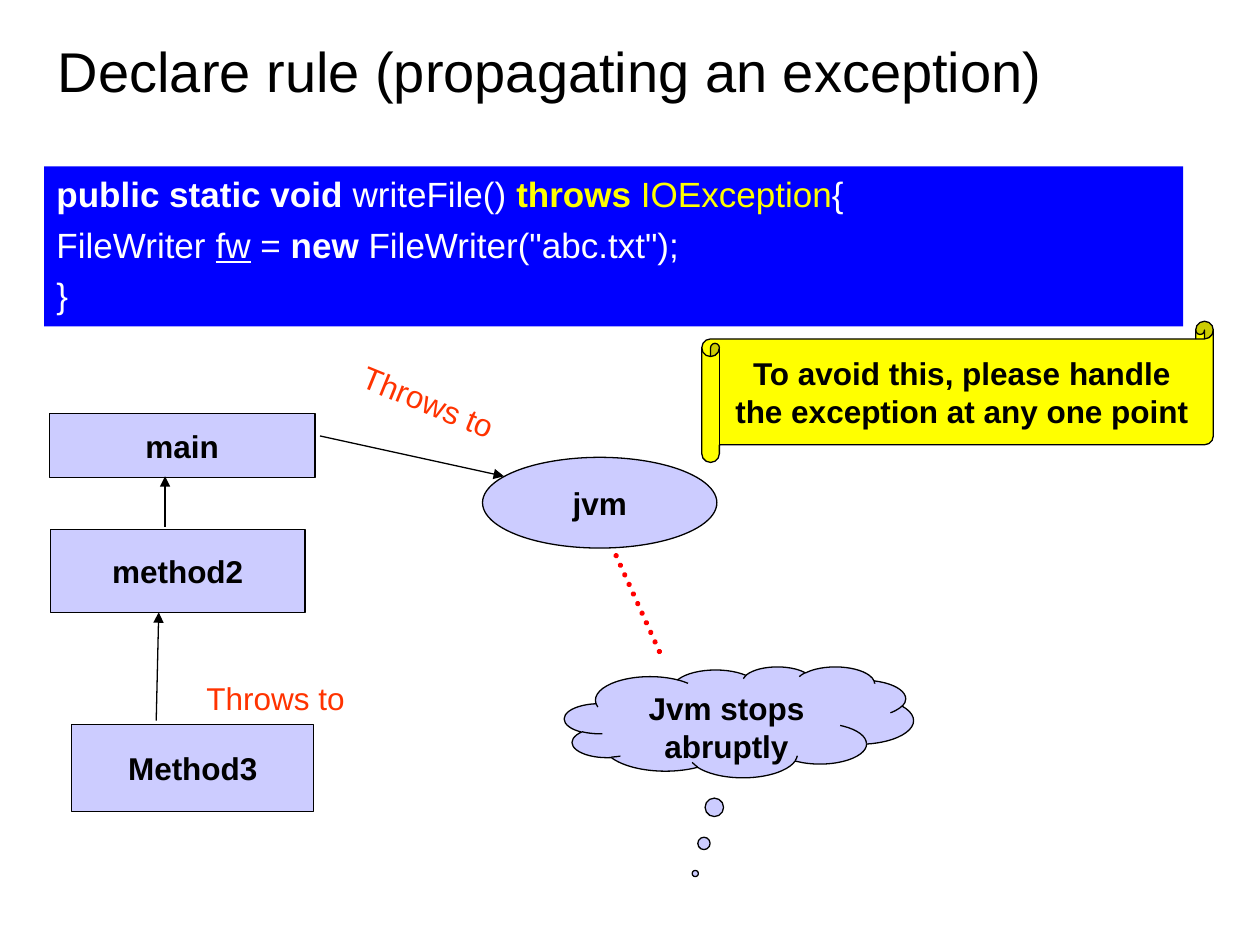
"""Build the slide on declaring and propagating an exception."""
import pptx
import pptx.dml.color
import pptx.enum.dml
import pptx.enum.shapes
import pptx.enum.text
import pptx.oxml.ns
import pptx.util
from lxml import etree

SHAPE = pptx.enum.shapes.MSO_SHAPE
ALIGN = pptx.enum.text.PP_ALIGN
ANCHOR = pptx.enum.text.MSO_ANCHOR
COLS, ROWS = 100, 75
COLORS = {
    "black": "000000",
    "white": "FFFFFF",
    "code": "0000FF",
    "node": "CCCCFF",
    "note": "FFFF00",
    "label": "FF3300",
    "stop": "FF0000",
}
SIZE = (pptx.util.Inches(10), pptx.util.Inches(7.5))


def rgb(name):
    """Return the named colour."""
    return pptx.dml.color.RGBColor.from_string(COLORS[name])


def grid(*cells):
    """Turn alternating column and row counts into slide lengths."""
    units = (SIZE[0] / COLS, SIZE[1] / ROWS)
    return [round(n * units[i % 2]) for i, n in enumerate(cells)]


def write(sp, lines, size=18, color="black", bold=False, align=ALIGN.LEFT,
          anchor=ANCHOR.TOP, wrap=True, before=0, hanging=0):
    """Fill a shape with lines, each a list of (text, format) runs."""
    tf = sp.text_frame
    tf.word_wrap = wrap
    tf.auto_size = pptx.enum.text.MSO_AUTO_SIZE.NONE
    tf.vertical_anchor = anchor
    for i, line in enumerate(lines):
        p = tf.add_paragraph() if i else tf.paragraphs[0]
        p.alignment = align
        p.space_before = pptx.util.Pt(before)
        if hanging:
            indent = pptx.util.Inches(hanging)
            pPr = p._p.get_or_add_pPr()
            pPr.set("marL", str(indent))
            pPr.set("indent", str(-indent))
        for text, fmt in line:
            r = p.add_run()
            r.text = text
            r.font.name = "Arial"
            r.font.size = pptx.util.Pt(size)
            r.font.bold = fmt.get("bold", bold)
            if fmt.get("underline"):
                r.font.underline = True
            r.font.color.rgb = rgb(fmt.get("color", color))


def add_box(slide, kind, at, fill, outlined=True, adjust=()):
    """Add a filled preset shape without shadow."""
    sp = slide.shapes.add_shape(kind, *grid(*at))
    sp.shadow.inherit = False
    sp.fill.solid()
    sp.fill.fore_color.rgb = rgb(fill)
    if outlined:
        sp.line.color.rgb = rgb("black")
        sp.line.width = pptx.util.Pt(0.75)
    else:
        sp.line.fill.background()
    for i, value in enumerate(adjust):
        sp.adjustments[i] = value
    return sp


def add_node(slide, text, kind, at, fill="node", adjust=(), **fmt):
    """Add an outlined shape with a bold centred caption."""
    sp = add_box(slide, kind, at, fill, adjust=adjust)
    fmt = {"anchor": ANCHOR.MIDDLE, **fmt}
    write(sp, [[(text, {})]], bold=True, align=ALIGN.CENTER, **fmt)


def add_label(slide, text, at, rotation=0):
    """Add a coloured arrow label."""
    sp = slide.shapes.add_textbox(*grid(*at))
    sp.rotation = rotation
    write(sp, [[(text, {})]], color="label", before=11.2)


def add_line(slide, ends, color="black", width=0.75, dotted=False):
    """Add a straight arrow, or a dotted line without a head."""
    cx = slide.shapes.add_connector(
        pptx.enum.shapes.MSO_CONNECTOR.STRAIGHT, *grid(*ends))
    cx.line.color.rgb = rgb(color)
    cx.line.width = pptx.util.Pt(width)
    ln = cx.line._get_or_add_ln()
    if dotted:
        cx.line.dash_style = pptx.enum.dml.MSO_LINE.ROUND_DOT
        ln.set("cap", "rnd")
    else:
        etree.SubElement(ln, pptx.oxml.ns.qn("a:tailEnd"), type="triangle")
    etree.SubElement(cx._element.spPr, pptx.oxml.ns.qn("a:effectLst"))


def add_title(slide, text, at):
    """Move the title placeholder and write the title."""
    sp = slide.shapes.title
    sp.left, sp.top, sp.width, sp.height = grid(*at)
    write(sp, [[(text, {})]], size=32, anchor=ANCHOR.MIDDLE)


def add_code(slide, lines, at):
    """Add the code panel."""
    sp = add_box(slide, SHAPE.RECTANGLE, at, "code", outlined=False)
    write(sp, lines, size=20, color="white", before=5, hanging=0.38)


def main():
    """Build and save the slide."""
    prs = pptx.Presentation()
    prs.slide_width, prs.slide_height = SIZE
    slide = prs.slides.add_slide(prs.slide_layouts[5])

    add_title(slide, "Declare rule (propagating an exception)",
              (3.6, 2.2, 90.2, 6.8))
    add_code(slide, [
        [("public static void", {"bold": True}), (" writeFile() ", {}),
         ("throws", {"bold": True, "color": "note"}),
         (" IOException", {"color": "note"}), ("{", {})],
        [("FileWriter ", {}), ("fw", {"underline": True}), (" = ", {}),
         ("new", {"bold": True}), (' FileWriter("abc.txt");', {})],
        [("}", {})],
    ], (3.5, 13.2, 90.4, 12.7))

    for text, kind, at in (
        ("method2", SHAPE.RECTANGLE, (4, 42, 20.2, 6.6)),
        ("Method3", SHAPE.RECTANGLE, (5.7, 57.5, 19.2, 6.9)),
        ("main", SHAPE.RECTANGLE, (3.9, 32.8, 21.1, 5.1)),
        ("jvm", SHAPE.OVAL, (38.3, 36.3, 18.6, 7.2)),
    ):
        add_node(slide, text, kind, at, wrap=False)

    for ends in ((12.4, 57.2, 12.6, 48.6), (13.1, 41.8, 13.1, 37.8),
                 (25.4, 34.6, 40, 37.8)):
        add_line(slide, ends)
    add_label(slide, "Throws to", (27.4, 30.5, 16.3, 4), rotation=22.2)
    add_label(slide, "Throws to", (15.4, 53.4, 13.7, 4))
    add_line(slide, (48.9, 44.1, 52.6, 52.3), "stop", 3, dotted=True)

    add_node(slide, "Jvm stops abruptly", SHAPE.CLOUD_CALLOUT,
             (44.8, 52.9, 27.7, 8.8), adjust=(-0.125, 1.367),
             anchor=ANCHOR.TOP)
    add_node(slide,
             "To avoid this, please handle the exception at any one point",
             SHAPE.HORIZONTAL_SCROLL, (55.7, 25.5, 40.6, 11.2), "note",
             adjust=(0.125,))
    prs.save("out.pptx")


if __name__ == "__main__":
    main()
